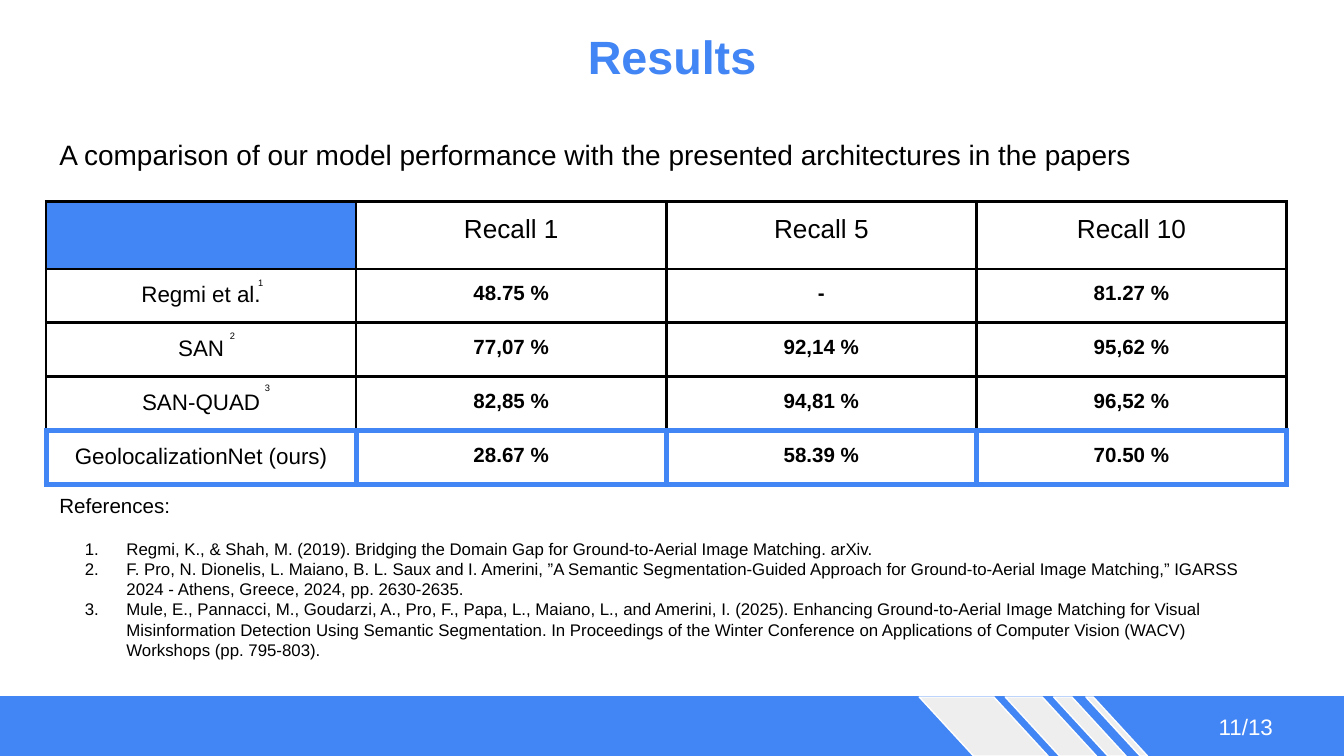
import pptx
import pptx.util
import pptx.dml.color
import pptx.enum.shapes
import pptx.enum.text
import lxml.etree
import pptx.oxml.ns

BLUE = pptx.dml.color.RGBColor(0x42, 0x85, 0xF4)
BLACK = pptx.dml.color.RGBColor(0, 0, 0)
WHITE = pptx.dml.color.RGBColor(255, 255, 255)
GREY = pptx.dml.color.RGBColor(0xEE, 0xEE, 0xEE)

LEFT = pptx.enum.text.PP_ALIGN.LEFT
CENTER = pptx.enum.text.PP_ALIGN.CENTER
TOP = pptx.enum.text.MSO_ANCHOR.TOP
MIDDLE = pptx.enum.text.MSO_ANCHOR.MIDDLE
Pt = pptx.util.Pt
Inches = pptx.util.Inches
qn = pptx.oxml.ns.qn

deck = pptx.Presentation()
deck.slide_width = Inches(10)
deck.slide_height = deck.slide_width * 9 // 16
page = deck.slides.add_slide(deck.slide_layouts[6])

# The page is a grid of 100 columns by 100 rows.
COLUMN = deck.slide_width / 100
ROW = deck.slide_height / 100
MARGIN = 3.43
BODY_WIDTH = 92.3


def style(paragraph, size, color=BLACK, align=LEFT, bold=False):
    paragraph.alignment = align
    font = paragraph.font
    font.name, font.size, font.bold = "Arial", Pt(size), bold
    font.color.rgb = color


def add_text(left, top, width, height, text, anchor=TOP):
    """Add a wrapped text box placed on the grid; return its text frame."""
    box = page.shapes.add_textbox(int(left * COLUMN), int(top * ROW),
                                  int(width * COLUMN), int(height * ROW))
    frame = box.text_frame
    frame.word_wrap = True
    frame.vertical_anchor = anchor
    frame.margin_left = frame.margin_right = Inches(0.1)
    frame.margin_top = frame.margin_bottom = Inches(0.1)
    frame.text = text
    return frame


title = add_text(0, 0, 100, 14.76, "Results", MIDDLE)
style(title.paragraphs[0], 25, BLUE, CENTER, True)

# Results table
RESULTS = [
    ["", "Recall 1", "Recall 5", "Recall 10"],
    ["Regmi et al.", "48.75 %", "-", "81.27 %"],
    ["SAN", "77,07 %", "92,14 %", "95,62 %"],
    ["SAN-QUAD", "82,85 %", "94,81 %", "96,52 %"],
    ["GeolocalizationNet (ours)", "28.67 %", "58.39 %", "70.50 %"],
]
TABLE_TOP = 26.67
ROW_HEIGHT = 6.93
OURS = len(RESULTS) - 1

table = page.shapes.add_table(
    len(RESULTS), len(RESULTS[0]), int(MARGIN * COLUMN), int(TABLE_TOP * ROW),
    int(BODY_WIDTH * COLUMN), int(len(RESULTS) * ROW_HEIGHT * ROW)).table
table.first_row = table.horz_banding = False

for r, values in enumerate(RESULTS):
    for c, value in enumerate(values):
        cell = table.cell(r, c)
        cell.margin_left = cell.margin_right = Inches(0.1)
        cell.margin_top = cell.margin_bottom = Inches(0.1)
        properties = cell._tc.get_or_add_tcPr()
        for side in ("lnL", "lnR", "lnT", "lnB"):
            highlighted = r == OURS or (r == OURS - 1 and side == "lnB")
            border = lxml.etree.SubElement(properties, qn("a:" + side),
                                           w=str(Pt(3 if highlighted else 1.5)))
            fill = lxml.etree.SubElement(border, qn("a:solidFill"))
            lxml.etree.SubElement(fill, qn("a:srgbClr"),
                                  val=str(BLUE if highlighted else BLACK))
        if r == c == 0:
            cell.fill.solid()
            cell.fill.fore_color.rgb = BLUE
            continue
        cell.fill.background()
        cell.text = value
        size = 14 if r == 0 else 12 if c == 0 else 11
        style(cell.text_frame.paragraphs[0], size, BLACK, CENTER, r > 0 and c > 0)

subtitle = add_text(
    MARGIN, 16.36, BODY_WIDTH, 8.71,
    "A comparison of our model performance with the presented architectures in the papers")
style(subtitle.paragraphs[0], 15)

# Reference marks beside the model names
for i, mark_left in enumerate((17.7, 15.6, 18.2)):
    mark = add_text(mark_left, 35.91 + i * ROW_HEIGHT, 3.4, 3.02, str(i + 1), MIDDLE)
    style(mark.paragraphs[0], 5, BLACK, CENTER)

# References
REFERENCES = [
    "Regmi, K., & Shah, M. (2019). Bridging the Domain Gap for Ground-to-Aerial Image "
    "Matching. arXiv.",
    "F. Pro, N. Dionelis, L. Maiano, B. L. Saux and I. Amerini, ”A Semantic "
    "Segmentation-Guided Approach for Ground-to-Aerial Image Matching,” IGARSS 2024 - "
    "Athens, Greece, 2024, pp. 2630-2635.",
    "Mule, E., Pannacci, M., Goudarzi, A., Pro, F., Papa, L., Maiano, L., and Amerini, I. "
    "(2025). Enhancing Ground-to-Aerial Image Matching for Visual Misinformation Detection "
    "Using Semantic Segmentation. In Proceedings of the Winter Conference on Applications "
    "of Computer Vision (WACV) Workshops (pp. 795-803).",
]
references = add_text(MARGIN, 63.47, BODY_WIDTH, 25.24, "References:")
style(references.paragraphs[0], 11)
for i, reference in enumerate(REFERENCES):
    paragraph = references.add_paragraph()
    paragraph.text = reference
    properties = paragraph._p.get_or_add_pPr()
    properties.set("marL", str(Inches(0.5)))
    properties.set("indent", str(Inches(-0.31)))
    number_color = lxml.etree.SubElement(properties, qn("a:buClr"))
    lxml.etree.SubElement(number_color, qn("a:srgbClr"), val=str(BLACK))
    lxml.etree.SubElement(properties, qn("a:buAutoNum"), type="arabicPeriod")
    paragraph.space_before = Pt(0 if i else 11)
    style(paragraph, 9)

# Footer: a blue band crossed by four slanted stripes
RECTANGLE = pptx.enum.shapes.MSO_SHAPE.RECTANGLE
PARALLELOGRAM = pptx.enum.shapes.MSO_SHAPE.PARALLELOGRAM
FOOTER_TOP = 92.2
FOOTER = [
    (RECTANGLE, 0, 100, 8, BLUE, BLUE),
    (PARALLELOGRAM, 68.4, 9.6, 7.82, GREY, WHITE),
    (PARALLELOGRAM, 74.8, 6.8, 7.82, GREY, WHITE),
    (PARALLELOGRAM, 78.4, 5.4, 7.82, GREY, WHITE),
    (PARALLELOGRAM, 80.8, 4.6, 7.82, GREY, WHITE),
]
for kind, left, width, height, fill_color, line_color in FOOTER:
    shape = page.shapes.add_shape(kind, int(left * COLUMN), int(FOOTER_TOP * ROW),
                                  int(width * COLUMN), int(height * ROW))
    shape.shadow.inherit = False
    shape.fill.solid()
    shape.fill.fore_color.rgb = fill_color
    shape.line.color.rgb = line_color
    shape.line.width = Pt(0.75)
    if kind == PARALLELOGRAM:
        shape.adjustments[0] = 0.92
        shape._element.spPr.xfrm.set("flipH", "1")

page_number = add_text(85.4, 92.15, 14.6, 7.82, "11/13", MIDDLE)
style(page_number.paragraphs[0], 12, WHITE, CENTER)

deck.save("out.pptx")
